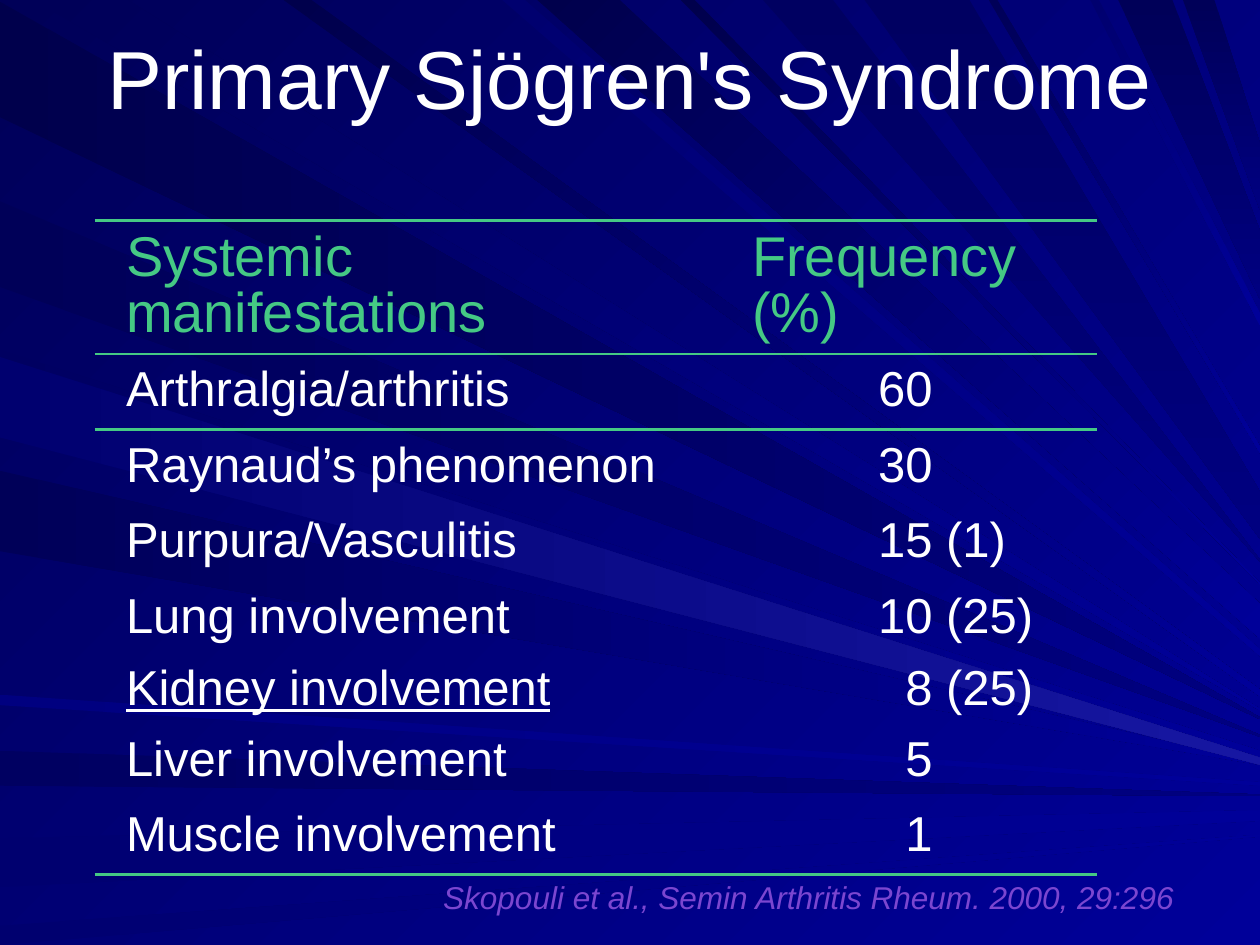
from dataclasses import dataclass
from typing import Optional

from lxml import etree
from pptx import Presentation
from pptx.dml.color import RGBColor
from pptx.enum import text as t
from pptx.oxml import ns
from pptx.util import Pt

DEEP = RGBColor(0x00, 0x00, 0x4C)
MIDNIGHT = RGBColor(0x00, 0x00, 0x58)
DUSK = RGBColor(0x00, 0x00, 0x61)
HAZE = RGBColor(0x00, 0x00, 0x6F)
NAVY = RGBColor(0x00, 0x00, 0x80)
ROYAL = RGBColor(0x00, 0x00, 0x99)
GLOW = RGBColor(0x17, 0x17, 0xA2)
WHITE = RGBColor(0xFF, 0xFF, 0xFF)
GREEN = RGBColor(0x45, 0xC9, 0x84)
PURPLE = RGBColor(0x7B, 0x46, 0xD0)

FONT = "Arial"
NO_GRID_STYLE = "{2D5ABB26-0587-4C30-8999-92F81FD0307C}"
WIDTH, HEIGHT = 720, 540
BODY_SIZE = 28
DIGIT_WIDTH = 0.556 * BODY_SIZE
CELL_MARGIN = 7.2


@dataclass(frozen=True)
class Ray:
    start: RGBColor
    end: RGBColor
    near: int
    breadth: int
    tip: int
    tip_breadth: int = 1


@dataclass(frozen=True)
class Finding:
    manifestation: str
    frequency: str
    height: float = 43.2
    digits: int = 2
    underline: bool = False


LEFT_RAYS = [
    Ray(DEEP, NAVY, 1, 66, 410),
    Ray(DUSK, NAVY, 429, 20, 454),
    Ray(HAZE, ROYAL, 479, 28, 463, 6),
    Ray(HAZE, ROYAL, 529, 11, 477),
    Ray(MIDNIGHT, NAVY, 115, 49, 420),
    Ray(DUSK, ROYAL, 200, 46, 429, 4),
    Ray(MIDNIGHT, ROYAL, 269, 46, 436),
    Ray(NAVY, ROYAL, 397, 6, 447, 2),
    Ray(HAZE, GLOW, 204, 46, 433, 4),
]

TOP_RAYS = [
    Ray(MIDNIGHT, ROYAL, 19, 54, 405),
    Ray(DEEP, ROYAL, 162, 16, 394, 4),
    Ray(HAZE, ROYAL, 287, 13, 371, 4),
    Ray(DEEP, ROYAL, 307, 47, 345, 20),
    Ray(DEEP, ROYAL, 389, 8, 333),
    Ray(DUSK, NAVY, 436, 40, 320),
    Ray(DUSK, NAVY, 494, 60, 281, 27),
    Ray(MIDNIGHT, ROYAL, 565, 5, 255, 4),
    Ray(HAZE, ROYAL, 623, 5, 179, 7),
    Ray(MIDNIGHT, NAVY, 639, 31, 132, 39),
    Ray(MIDNIGHT, NAVY, 676, 18, 82, 38),
]

FINDINGS = [
    Finding("Arthralgia/arthritis", "60"),
    Finding("Raynaud’s phenomenon", "30"),
    Finding("Purpura/Vasculitis", "15 (1)"),
    Finding("Lung involvement", "10 (25)"),
    Finding("Kidney involvement", "8 (25)", 38.9, 1, True),
    Finding("Liver involvement", "5", 42.5, 1),
    Finding("Muscle involvement", "1", digits=1),
]


def fill_gradient(fill, start: RGBColor, end: RGBColor, clockwise: int) -> None:
    fill.gradient()
    fill.gradient_angle = -clockwise % 360
    for stop, color in zip(fill.gradient_stops, (start, end)):
        stop.color.rgb = color


def draw_ray(shapes, ray: Ray, from_top: bool) -> None:
    edge = [ray.near, ray.near + ray.breadth]
    tips = [ray.tip + ray.tip_breadth, ray.tip]
    if from_top:
        corners = [(x, 0) for x in edge] + [(WIDTH, y) for y in reversed(tips)]
        angle = 90 if ray.end == NAVY else 45
    else:
        corners = [(0, y) for y in edge] + [(WIDTH, y) for y in tips]
        angle = 0
    first, *rest = [(Pt(x), Pt(y)) for x, y in corners]
    builder = shapes.build_freeform(*first)
    builder.add_line_segments(rest, close=True)
    beam = builder.convert_to_shape()
    beam.shadow.inherit = False
    beam.line.fill.background()
    fill_gradient(beam.fill, ray.start, ray.end, angle)


def write(frame, content: str, size: float, color: RGBColor):
    frame.text = content
    font = frame.paragraphs[0].runs[0].font
    font.name, font.size, font.color.rgb = FONT, Pt(size), color
    return font


def write_cell(cell, content: str, size: float, color: RGBColor, left: float = CELL_MARGIN):
    cell.margin_left = Pt(left)
    cell.vertical_anchor = t.MSO_ANCHOR.MIDDLE
    font = write(cell.text_frame, content, size, color)
    cell.text_frame.paragraphs[0].line_spacing = 0.9
    return font


def rule_cell(cell, sides: list) -> None:
    properties = cell._tc.get_or_add_tcPr()
    for side in sides:
        line = etree.SubElement(properties, ns.qn(f"a:{side}"), w=str(Pt(1.47)))
        solid = etree.SubElement(line, ns.qn("a:solidFill"))
        etree.SubElement(solid, ns.qn("a:srgbClr"), val=str(GREEN))
    cell.fill.background()


def draw_findings(slide) -> None:
    widths = [368.6, 72, 132.5]
    heights = [76.3] + [finding.height for finding in FINDINGS]
    last = len(FINDINGS)
    table = slide.shapes.add_table(last + 1, len(widths), Pt(54), Pt(126),
                                   Pt(sum(widths)), Pt(sum(heights))).table
    table.first_row = table.horz_banding = False
    table._tbl.tblPr.find(ns.qn("a:tableStyleId")).text = NO_GRID_STYLE
    for column, width in zip(table.columns, widths):
        column.width = Pt(width)
    rules = {0: ["lnT", "lnB"], 1: ["lnT"], last: ["lnB"]}
    for index, height in enumerate(heights):
        table.rows[index].height = Pt(height)
        for column in range(len(widths)):
            rule_cell(table.cell(index, column), rules.get(index, []))

    table.cell(0, 1).merge(table.cell(0, 2))
    write_cell(table.cell(0, 0), "Systemic manifestations", 32, GREEN, 18)
    table.cell(0, 0).margin_right = Pt(12)
    write_cell(table.cell(0, 1), "Frequency (%)", 32, GREEN)
    for index, finding in enumerate(FINDINGS, start=1):
        table.cell(index, 0).merge(table.cell(index, 1))
        font = write_cell(table.cell(index, 0), finding.manifestation, BODY_SIZE, WHITE, 18)
        if finding.underline:
            font.underline = True
        indent = (2 - finding.digits) * DIGIT_WIDTH
        write_cell(table.cell(index, 2), finding.frequency, BODY_SIZE, WHITE, CELL_MARGIN + indent)


def main() -> None:
    deck = Presentation()
    deck.slide_width, deck.slide_height = Pt(WIDTH), Pt(HEIGHT)
    slide = deck.slides.add_slide(deck.slide_layouts[5])
    fill_gradient(slide.background.fill, MIDNIGHT, ROYAL, 45)

    rays = slide.shapes.add_group_shape()
    for ray in TOP_RAYS:
        draw_ray(rays.shapes, ray, from_top=True)
    for ray in LEFT_RAYS:
        draw_ray(rays.shapes, ray, from_top=False)

    title = slide.shapes.title
    slide.shapes._spTree.append(title._element)
    title.left, title.top, title.width, title.height = Pt(36.7), Pt(15.1), Pt(646.6), Pt(56.9)
    write(title.text_frame, "Primary Sjögren's Syndrome", 47, WHITE)
    title.text_frame.auto_size = t.MSO_AUTO_SIZE.NONE
    title.text_frame.vertical_anchor = t.MSO_ANCHOR.MIDDLE
    title.text_frame.paragraphs[0].alignment = t.PP_ALIGN.CENTER

    draw_findings(slide)

    citation = slide.shapes.add_textbox(Pt(246.2), Pt(498.2), Pt(462.2), Pt(28.8)).text_frame
    citation.word_wrap = True
    write(citation, "Skopouli et al., Semin Arthritis Rheum. 2000, 29:296", 18, PURPLE).italic = True

    deck.save("out.pptx")


if __name__ == "__main__":
    main()
